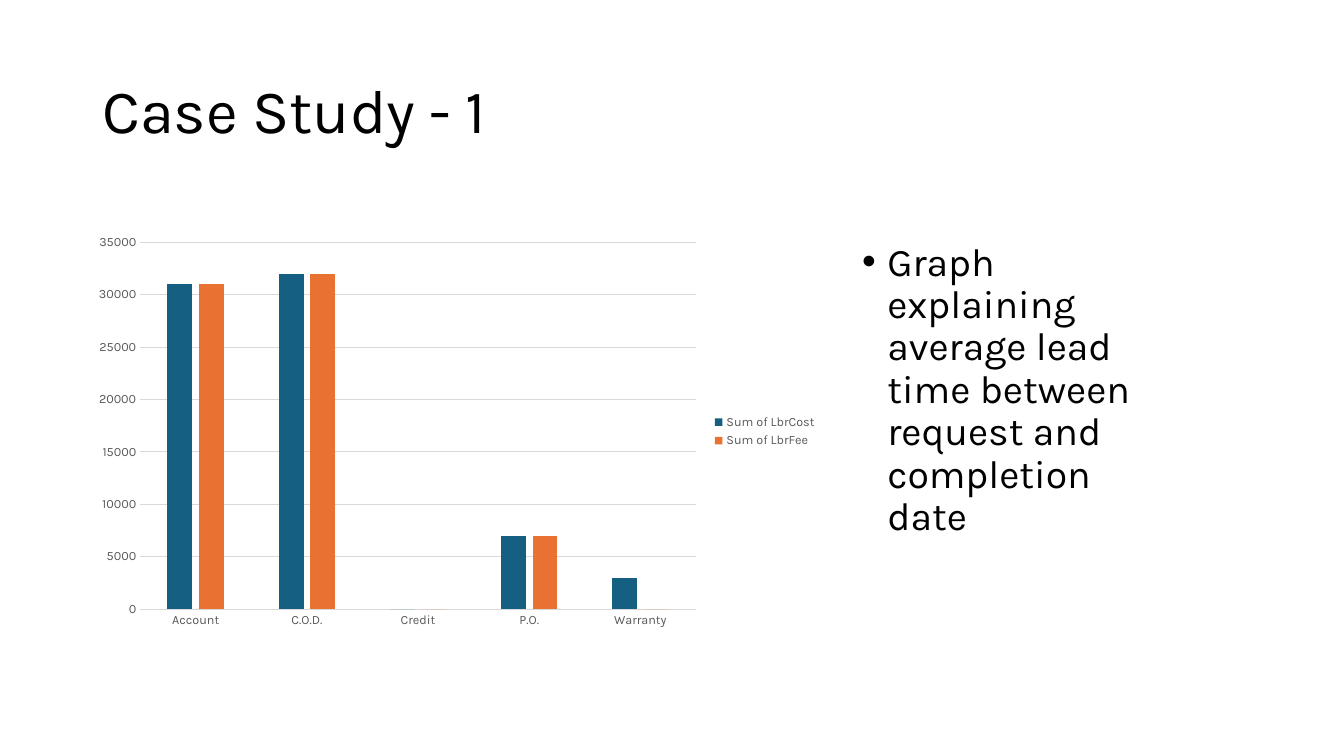
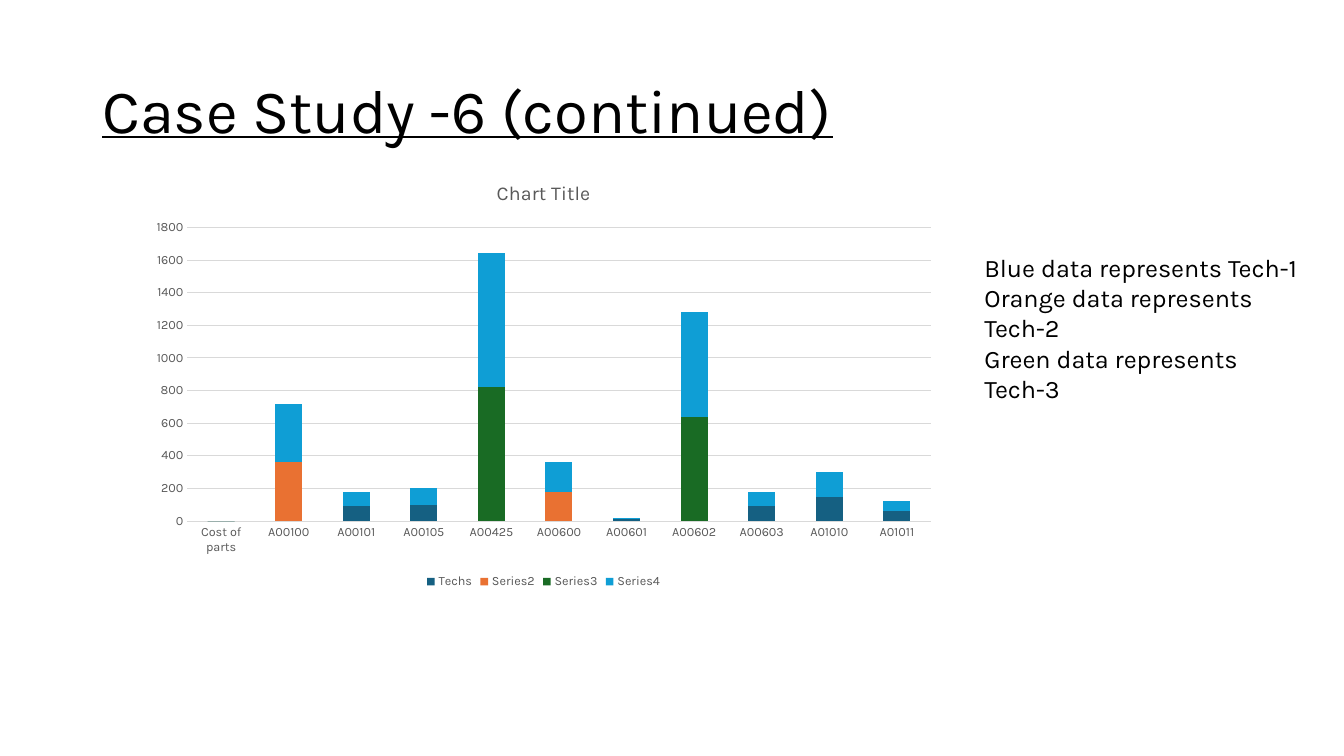
"""Build two case study slides, each with a column chart and a text beside it."""
from lxml.etree import SubElement
from pptx import Presentation
from pptx.chart.data import CategoryChartData
from pptx.dml.color import RGBColor
from pptx.enum.chart import XL_CHART_TYPE, XL_LEGEND_POSITION, XL_TICK_MARK
from pptx.enum.text import MSO_ANCHOR
from pptx.oxml.ns import qn
from pptx.util import Pt

FONT = "Karla"
BLACK = RGBColor(0x00, 0x00, 0x00)
GRAY = RGBColor(0x59, 0x59, 0x59)
LIGHT_GRAY = RGBColor(0xD9, 0xD9, 0xD9)
BLUE = RGBColor(0x15, 0x60, 0x82)
ORANGE = RGBColor(0xE9, 0x71, 0x32)
GREEN = RGBColor(0x19, 0x6B, 0x24)
SKY = RGBColor(0x0F, 0x9E, 0xD5)
SERIES_COLORS = (BLUE, ORANGE, GREEN, SKY)

TITLE_BOX = (66, 28.75, 828, 104.4)

LABOR_CATEGORIES = ("Account", "C.O.D.", "Credit", "P.O.", "Warranty")
LABOR_SERIES = {
    "Sum of LbrCost": (31000, 32000, 0, 7000, 3000),
    "Sum of LbrFee": (31000, 32000, 0, 7000, 0),
}
PARTS_CATEGORIES = (
    "Cost of parts", "A00100", "A00101", "A00105", "A00425", "A00600",
    "A00601", "A00602", "A00603", "A01010", "A01011",
)
PARTS_SERIES = {
    "Techs": (0, None, 90, 100, None, None, 10, None, 90, 150, 60),
    "Series2": (0, 360, None, None, None, 180, None, None, None, None, None),
    "Series3": (0, None, None, None, 820, None, None, 640, None, None, None),
    "Series4": (0, 360, 90, 100, 820, 180, 10, 640, 90, 150, 60),
}


def style_font(font, size, color):
    """Apply the shared typeface with a size and color."""
    font.name = FONT
    font.size = Pt(size)
    font.color.rgb = color


def add_bullet(paragraph, indent):
    """Give a paragraph a round bullet with a hanging indent."""
    properties = paragraph._p.get_or_add_pPr()
    properties.set("marL", str(Pt(indent)))
    properties.set("indent", str(-Pt(indent)))
    SubElement(properties, qn("a:buFont")).set("typeface", "Arial")
    SubElement(properties, qn("a:buChar")).set("char", "•")


def add_text(slide, box, lines, size, line_spacing=1.0):
    """Place a wrapping text box with one paragraph per line and return its frame."""
    frame = slide.shapes.add_textbox(*map(Pt, box)).text_frame
    frame.word_wrap = True
    for index, line in enumerate(lines):
        paragraph = frame.paragraphs[0] if index == 0 else frame.add_paragraph()
        paragraph.line_spacing = line_spacing
        run = paragraph.add_run()
        run.text = line
        style_font(run.font, size, BLACK)
    return frame


def add_title(slide, text, underline=False):
    """Place the slide title."""
    frame = add_text(slide, TITLE_BOX, [text], 44, 0.9)
    frame.vertical_anchor = MSO_ANCHOR.MIDDLE
    if underline:
        frame.paragraphs[0].runs[0].font.underline = True


def style_axes(chart, maximum, step):
    """Style both axes and set the value scale."""
    for axis in (chart.category_axis, chart.value_axis):
        axis.major_tick_mark = axis.minor_tick_mark = XL_TICK_MARK.NONE
        style_font(axis.tick_labels.font, 9, GRAY)
    value_axis = chart.value_axis
    value_axis.minimum_scale = 0
    value_axis.maximum_scale = maximum
    value_axis.major_unit = step
    value_axis.format.line.fill.background()
    for line in (chart.category_axis.format.line, value_axis.major_gridlines.format.line):
        line.color.rgb = LIGHT_GRAY
        line.width = Pt(0.75)


def add_column_chart(slide, box, kind, categories, series_values, gap, overlap,
                     maximum, step, legend_position):
    """Place a styled column chart and return it."""
    data = CategoryChartData(number_format="General")
    data.categories = categories
    for name, values in series_values.items():
        data.add_series(name, values)
    chart = slide.shapes.add_chart(kind, *map(Pt, box), data).chart
    style_font(chart.font, 10, BLACK)
    chart.has_title = False
    chart.has_legend = True
    chart.legend.position = legend_position
    chart.legend.include_in_layout = False
    style_font(chart.legend.font, 9, GRAY)
    style_axes(chart, maximum, step)
    plot = chart.plots[0]
    plot.gap_width = gap
    plot.overlap = overlap
    plot.vary_by_categories = False
    for series, color in zip(plot.series, SERIES_COLORS):
        series.format.fill.solid()
        series.format.fill.fore_color.rgb = color
        series.invert_if_negative = False
    return chart


def add_chart_title(chart, text):
    """Put a title above the chart."""
    chart.has_title = True
    chart.chart_title.include_in_layout = False
    run = chart.chart_title.text_frame.paragraphs[0].add_run()
    run.text = text
    style_font(run.font, 14, GRAY)
    run.font.bold = False


def build_labor_slide(slide):
    """Build the slide that compares labor cost and fee."""
    add_title(slide, "Case Study - 1")
    note = "Graph explaining average lead time between request and completion date"
    paragraph = add_text(slide, (608.75, 169.6, 239, 200.9), [note], 28, 0.9).paragraphs[0]
    paragraph.space_before = Pt(10)
    add_bullet(paragraph, 18)
    add_column_chart(
        slide, (60, 162, 530.8, 292.3), XL_CHART_TYPE.COLUMN_CLUSTERED,
        LABOR_CATEGORIES, LABOR_SERIES, gap=219, overlap=-27,
        maximum=35000, step=5000, legend_position=XL_LEGEND_POSITION.RIGHT)


def build_parts_slide(slide):
    """Build the slide that stacks part costs by technician."""
    add_title(slide, "Case Study -6 (continued)", underline=True)
    chart = add_column_chart(
        slide, (100.3, 116.2, 576, 307.4), XL_CHART_TYPE.COLUMN_STACKED,
        PARTS_CATEGORIES, PARTS_SERIES, gap=150, overlap=100,
        maximum=1800, step=200, legend_position=XL_LEGEND_POSITION.BOTTOM)
    add_chart_title(chart, "Chart Title")
    add_text(slide, (696, 176.6, 243.4, 94.3), (
        "Blue data represents Tech-1",
        "Orange data represents Tech-2",
        "Green data represents Tech-3",
    ), 18)


def main():
    """Create and save the presentation."""
    presentation = Presentation()
    presentation.slide_width = Pt(960)
    presentation.slide_height = Pt(540)
    for build in (build_labor_slide, build_parts_slide):
        build(presentation.slides.add_slide(presentation.slide_layouts[6]))
    presentation.save("out.pptx")


if __name__ == "__main__":
    main()
